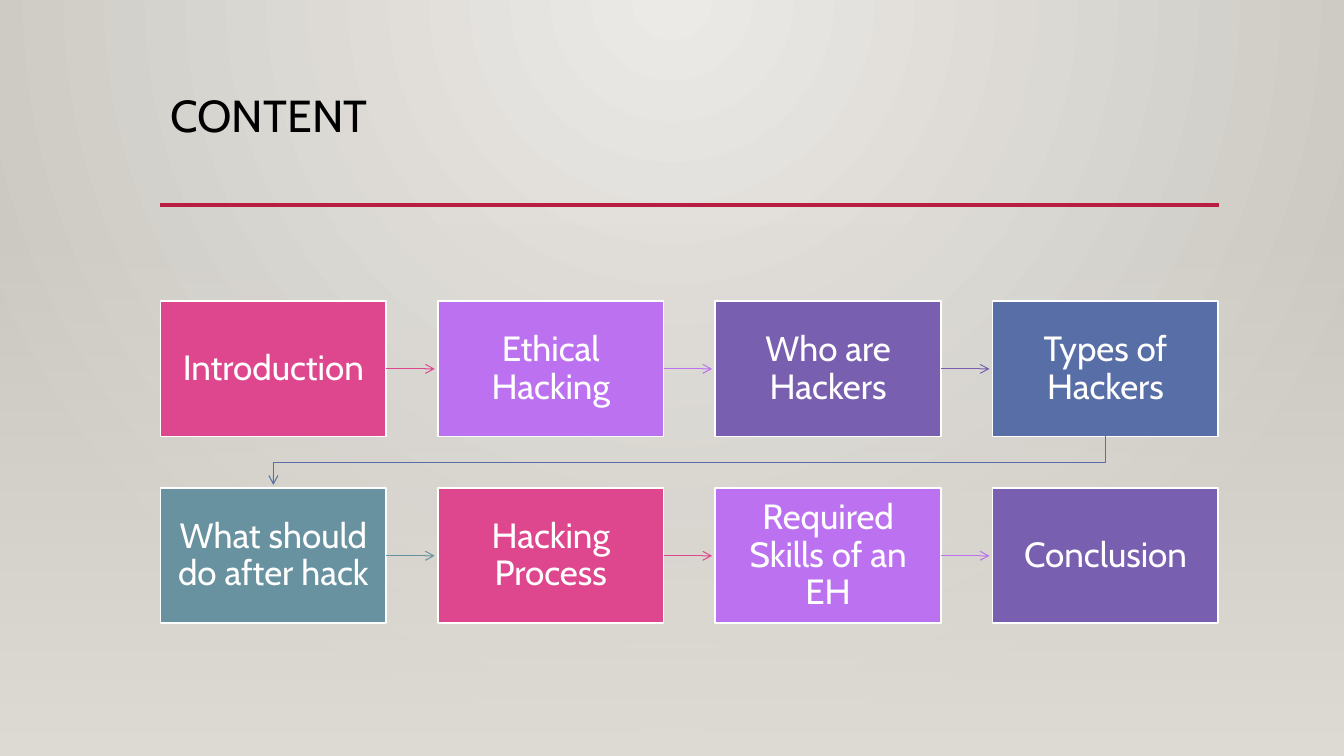
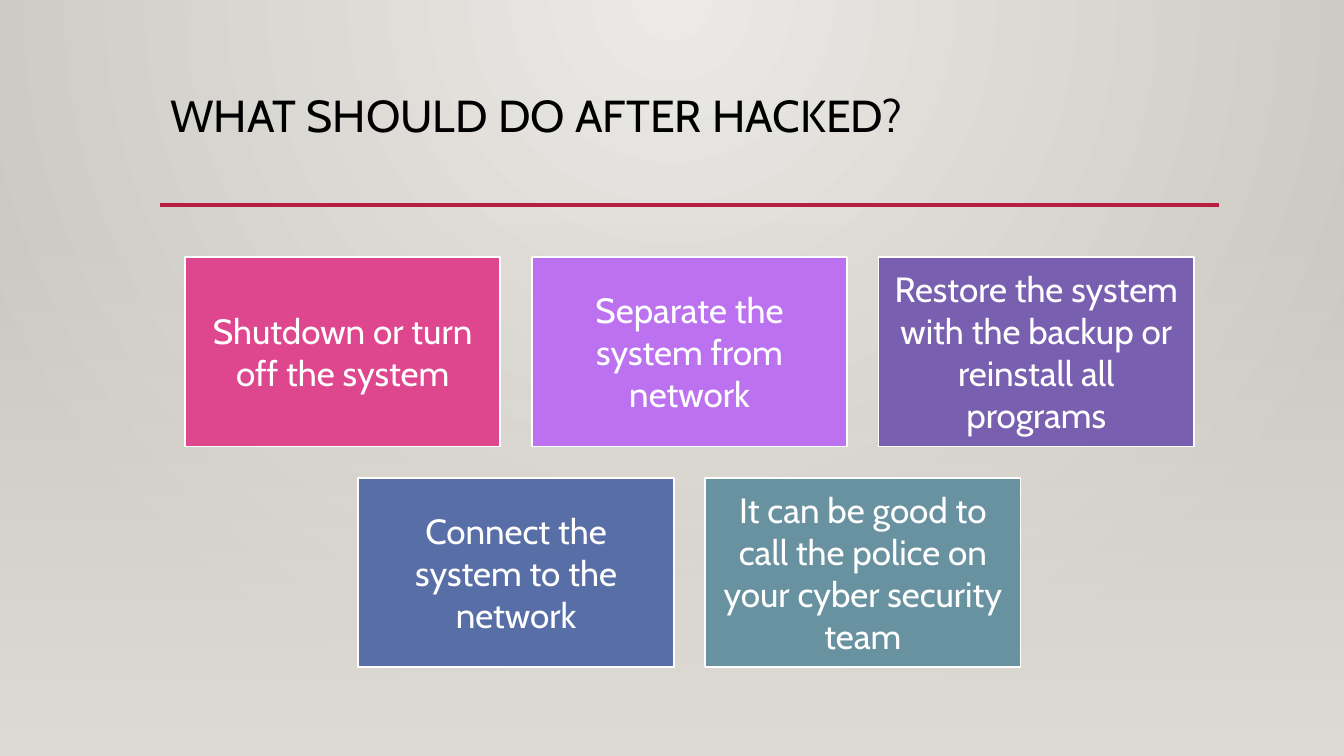
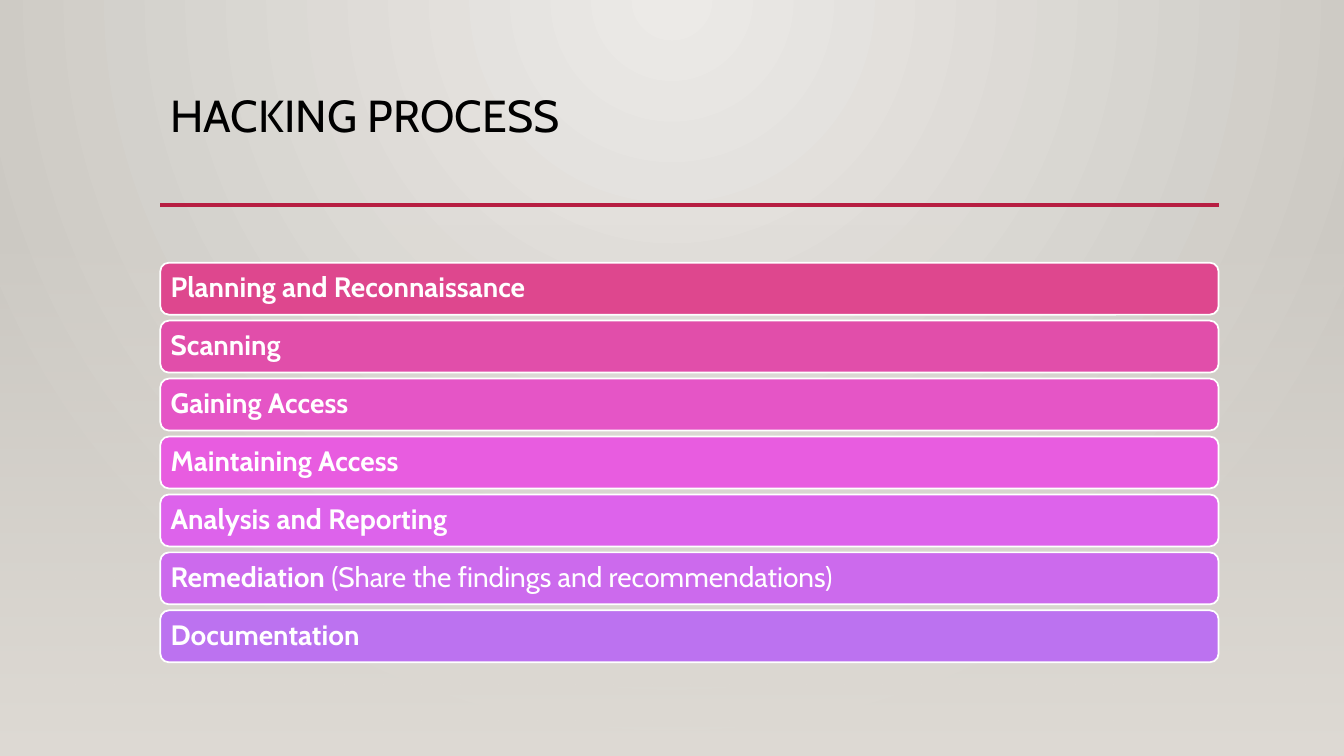
from dataclasses import dataclass

from lxml import etree
from pptx import Presentation
from pptx.dml.color import RGBColor
from pptx.enum.shapes import MSO_CONNECTOR, MSO_SHAPE
from pptx.enum.text import MSO_ANCHOR, PP_ALIGN
from pptx.oxml import parse_xml
from pptx.oxml.ns import nsdecls, qn
from pptx.util import Cm, Pt

RECT, ROUNDED = MSO_SHAPE.RECTANGLE, MSO_SHAPE.ROUNDED_RECTANGLE
STRAIGHT = MSO_CONNECTOR.STRAIGHT
TOP, MIDDLE = MSO_ANCHOR.TOP, MSO_ANCHOR.MIDDLE
LEFT, CENTER = PP_ALIGN.LEFT, PP_ALIGN.CENTER

AGENDA = ("CONTENT", [
    ["Introduction", "Ethical Hacking", "Who are Hackers", "Types of Hackers"],
    ["What should do after hack", "Hacking Process",
     "Required Skills of an EH", "Conclusion"],
])
RESPONSE = ("WHAT SHOULD DO AFTER HACKED?", [
    ["Shutdown or turn off the system",
     "Separate the system from network",
     "Restore the system with the backup or reinstall all programs"],
    ["Connect the system to the network",
     "It can be good to call the police on your cyber security team"],
])
PROCESS = ("HACKING PROCESS", [
    ("Planning and Reconnaissance", ""),
    ("Scanning", ""),
    ("Gaining Access", ""),
    ("Maintaining Access", ""),
    ("Analysis and Reporting", ""),
    ("Remediation ", "(Share the findings and recommendations)"),
    ("Documentation", ""),
])


@dataclass(frozen=True)
class Theme:
    font: str = "Cabin"
    title_size: int = 32
    tile_size: int = 25
    step_size: int = 20
    ink: str = "000000"
    light: str = "FFFFFF"
    rule: str = "B71E42"
    glow: str = "ECEAE7"
    edge: str = "CAC7C1"
    veil: str = "DFDBD5"
    accents: tuple = ("DE478E", "BC72F0", "795FAF", "586EA6", "6892A0")
    steps: tuple = ("DE478E", "E14EAA", "E555C6", "E85CE0",
                    "DD63EB", "CC6AED", "BC72F0")


THEME = Theme()
SLIDE_W, SLIDE_H = 33.87, 19.05
CONTENT_LEFT, CONTENT_W = 4.04, 26.67
RULE_Y, VEIL_TOP = 5.16, 5.61


def rgb(value):
    return RGBColor.from_string(value)


def gradient(start, end, direction, start_alpha=100):
    return parse_xml(
        f'<a:gradFill {nsdecls("a")} rotWithShape="1"><a:gsLst>'
        f'<a:gs pos="0"><a:srgbClr val="{start}">'
        f'<a:alpha val="{start_alpha * 1000}"/></a:srgbClr></a:gs>'
        f'<a:gs pos="100000"><a:srgbClr val="{end}"/></a:gs>'
        f'</a:gsLst>{direction}</a:gradFill>')


def replace_solid(parent, fill):
    parent.replace(parent.find(qn("a:solidFill")), fill)


def style_line(shape, color, width):
    shape.line.color.rgb = rgb(color)
    shape.line.width = Pt(width)


def add_line(slide, start, end, color, width):
    line = slide.shapes.add_connector(STRAIGHT, *map(Cm, start + end))
    style_line(line, color, width)
    etree.SubElement(line.element.spPr, qn("a:effectLst"))
    return line


def add_arrowhead(shape):
    outline = shape.line._get_or_add_ln()
    etree.SubElement(outline, qn("a:tailEnd"), type="arrow")


def format_runs(paragraph, size, color):
    for run in paragraph.runs:
        run.font.name = THEME.font
        run.font.size = Pt(size)
        run.font.color.rgb = rgb(color)


def dress_layout(layout, slide):
    layout.background.fill.solid()
    circle = ('<a:path path="circle"><a:fillToRect l="43000" t="0" '
              'r="43000" b="100000"/></a:path>')
    replace_solid(layout.element.find(".//" + qn("p:bgPr")),
                  gradient(THEME.glow, THEME.edge, circle))

    veil = slide.shapes.add_shape(RECT, 0, Cm(VEIL_TOP), Cm(SLIDE_W),
                                  Cm(SLIDE_H - VEIL_TOP))
    veil.shadow.inherit = False
    veil.line.fill.background()
    veil.fill.solid()
    replace_solid(veil.element.spPr,
                  gradient(THEME.veil, THEME.veil,
                           '<a:lin ang="5400000" scaled="0"/>', 0))
    rule = add_line(slide, (CONTENT_LEFT, RULE_Y),
                    (CONTENT_LEFT + CONTENT_W, RULE_Y), THEME.rule, 2.5)
    for number, decor in enumerate((veil, rule), 100):
        decor.element.find(".//" + qn("p:cNvPr")).set("id", str(number))
        layout.shapes.element.append(decor.element)

    title = layout.placeholders[0]
    title.left, title.top = Cm(CONTENT_LEFT), Cm(2.24)
    title.width, title.height = Cm(CONTENT_W), Cm(2.92)
    title.text_frame.vertical_anchor = TOP


def add_titled_slide(deck, layout, title):
    slide = deck.slides.add_slide(layout)
    slide.shapes.title.text_frame.text = title
    heading = slide.shapes.title.text_frame.paragraphs[0]
    heading.alignment = LEFT
    heading.line_spacing = 0.9
    format_runs(heading, THEME.title_size, THEME.ink)
    return slide


def grid(rows, top, width, height, gap):
    center = CONTENT_LEFT + CONTENT_W / 2
    for row, items in enumerate(rows):
        left = center - (len(items) * (width + gap) - gap) / 2
        for column, item in enumerate(items):
            yield item, left + column * (width + gap), top + row * (height + gap)


def add_tile(slide, kind, box, fill, text, size, align, spacing, inset):
    tile = slide.shapes.add_shape(kind, *map(Cm, box))
    tile.shadow.inherit = False
    tile.fill.solid()
    tile.fill.fore_color.rgb = rgb(fill)
    style_line(tile, THEME.light, 1.25)
    frame = tile.text_frame
    frame.text = text
    frame.word_wrap = True
    frame.vertical_anchor = MIDDLE
    frame.margin_left = frame.margin_right = Cm(inset)
    frame.margin_top = frame.margin_bottom = Cm(inset)
    paragraph = frame.paragraphs[0]
    paragraph.alignment = align
    paragraph.line_spacing = spacing
    format_runs(paragraph, size, THEME.light)
    return paragraph


def add_turn(slide, start, end, color):
    middle = (start[1] + end[1]) / 2 + 0.04
    builder = slide.shapes.build_freeform(Cm(start[0]), Cm(start[1]))
    corners = [(start[0], middle), (end[0], middle), end]
    builder.add_line_segments([(Cm(x), Cm(y)) for x, y in corners], close=False)
    turn = builder.convert_to_shape()
    turn.shadow.inherit = False
    turn.fill.background()
    style_line(turn, color, 0.75)
    return turn


def fill_agenda(slide, rows):
    width, height, gap, clearance = 5.69, 3.41, 1.3, 0.08
    cells = list(grid(rows, 7.59, width, height, gap))
    for index, (topic, left, top) in enumerate(cells):
        color = THEME.accents[index % len(THEME.accents)]
        add_tile(slide, RECT, (left, top, width, height), color, topic,
                 THEME.tile_size, CENTER, 0.9, 0.28)
        if index + 1 == len(cells):
            break
        _, next_left, next_top = cells[index + 1]
        if next_top == top:
            y = top + height / 2
            arrow = add_line(slide, (left + width, y),
                             (next_left - clearance, y), color, 0.75)
        else:
            arrow = add_turn(slide, (left + width / 2, top + height),
                             (next_left + width / 2, next_top - clearance), color)
        add_arrowhead(arrow)


def fill_response(slide, rows):
    width, height = 7.95, 4.77
    cells = grid(rows, 6.48, width, height, 0.79)
    for (action, left, top), color in zip(cells, THEME.accents):
        add_tile(slide, RECT, (left, top, width, height), color, action,
                 THEME.tile_size, CENTER, 1.0, 0.25)


def fill_process(slide, steps):
    height = 1.31
    cells = grid([[step] for step in steps], 6.62, CONTENT_W, height, 0.15)
    for ((name, detail), left, top), color in zip(cells, THEME.steps):
        paragraph = add_tile(slide, ROUNDED, (left, top, CONTENT_W, height),
                             color, name, THEME.step_size, LEFT, 0.9, 0.2)
        paragraph.runs[0].font.bold = True
        if detail:
            paragraph.add_run().text = detail
            format_runs(paragraph, THEME.step_size, THEME.light)


def main():
    deck = Presentation()
    deck.slide_width, deck.slide_height = Cm(SLIDE_W), Cm(SLIDE_H)
    layout = deck.slide_layouts.get_by_name("Title Only")
    pages = [(AGENDA, fill_agenda), (RESPONSE, fill_response),
             (PROCESS, fill_process)]
    for index, ((title, items), fill_page) in enumerate(pages):
        slide = add_titled_slide(deck, layout, title)
        if index == 0:
            dress_layout(layout, slide)
        fill_page(slide, items)
    deck.save("out.pptx")


if __name__ == "__main__":
    main()
